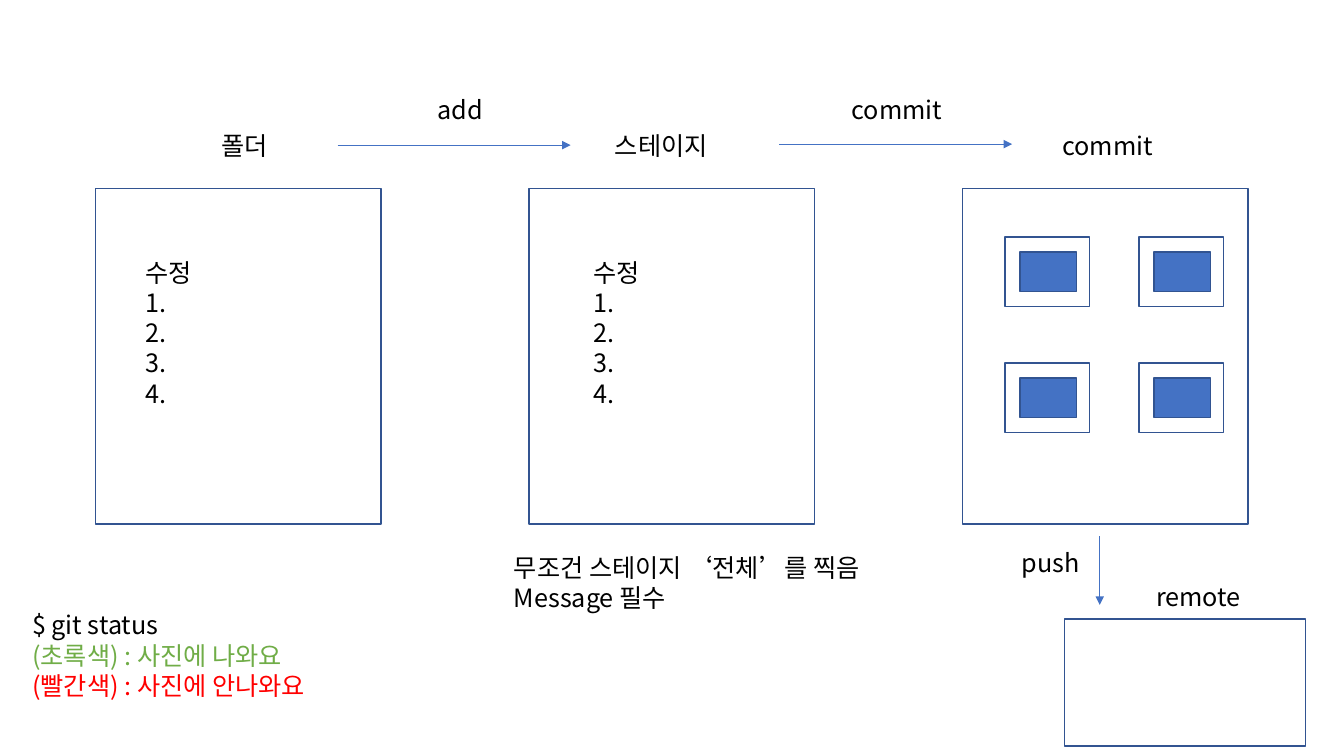
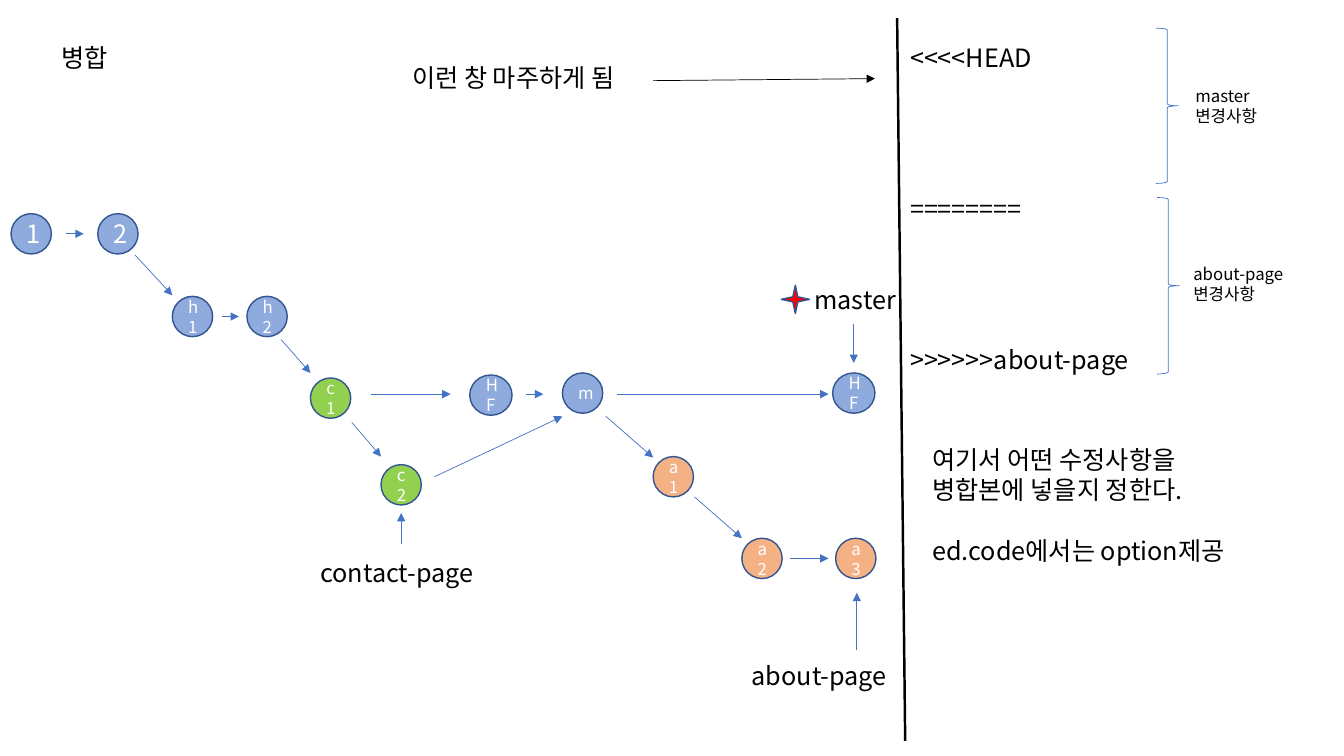
from itertools import product
from lxml.etree import SubElement as Sub
from pptx import Presentation
from pptx.dml.color import RGBColor as Color
from pptx.enum.shapes import MSO_CONNECTOR as Link, MSO_SHAPE as Form
from pptx.enum.text import MSO_ANCHOR as Anchor, MSO_AUTO_SIZE as Fit, PP_ALIGN as Align
from pptx.oxml.ns import qn
from pptx.util import Inches, Pt

HUES = {
    "black": "000000", "white": "FFFFFF", "edge": "325491", "blue": "4472C4",
    "pale": "8FAADC", "lime": "92D050", "peach": "F4B183", "green": "70AD47", "red": "FF0000",
}
FONT = "Noto Sans CJK KR"
WIDE, HIGH = 133.33, 75


def hue(name):
    return Color.from_string(HUES[name])


def grid(*steps):
    return [Inches(step / 10) for step in steps]


def style(item, form):
    for key, value in form.items():
        setattr(item, key, value)


class Deck:
    """Holds the shared style and the current slide, on a grid of tenths of an inch."""

    def __init__(self):
        self.show = Presentation()
        self.show.slide_width, self.show.slide_height = grid(WIDE, HIGH)
        self.slide = None

    def start(self, layout):
        self.slide = self.show.slides.add_slide(self.show.slide_layouts[layout])

    def trim(self):
        for holder in list(self.slide.placeholders):
            if not holder.text_frame.text:
                holder.element.getparent().remove(holder.element)

    def letter(self, frame, lines, size=18, tint="black", align=Align.LEFT, anchor=Anchor.TOP):
        style(frame, {"word_wrap": True, "auto_size": Fit.NONE, "vertical_anchor": anchor})
        height = size * 1.2
        for spot, line in enumerate(lines):
            words, shade, gap = line if isinstance(line, tuple) else (line, tint, 0)
            para = frame.add_paragraph() if spot else frame.paragraphs[0]
            style(para, {"alignment": align, "line_spacing": Pt(height),
                         "space_before": Pt(gap * height), "space_after": Pt(0)})
            props = para._p.get_or_add_pPr()
            for key in ("marL", "indent"):
                props.set(key, "0")
            Sub(props, qn("a:buNone"))
            run = para.add_run()
            run.text = words
            style(run.font, {"name": FONT, "size": Pt(size), "bold": False})
            run.font.color.rgb = hue(shade)
            Sub(run._r.get_or_add_rPr(), qn("a:ea"), typeface=FONT)

    def text(self, box, *lines, **form):
        self.letter(self.slide.shapes.add_textbox(*grid(*box)).text_frame, lines, **form)

    def hold(self, index, box, *lines):
        holder = self.slide.placeholders[index]
        style(holder, dict(zip(("left", "top", "width", "height"), grid(*box))))
        self.letter(holder.text_frame, lines)

    def shape(self, box, form=Form.RECTANGLE, fill=None, edge="edge", weight=1):
        shape = self.slide.shapes.add_shape(form, *grid(*box))
        shape.shadow.inherit = False
        if fill:
            shape.fill.solid()
            shape.fill.fore_color.rgb = hue(fill)
        else:
            shape.fill.background()
        shape.line.color.rgb = hue(edge)
        shape.line.width = Pt(weight)
        return shape

    def node(self, left, top, label, fill="pale", size=12, width=4):
        dot = self.shape((left, top, width, 4), Form.OVAL, fill)
        self.letter(dot.text_frame, [label], size, "white", Align.CENTER, Anchor.MIDDLE)

    def line(self, ends, tint="blue", weight=0.5, head=True):
        line = self.slide.shapes.add_connector(Link.STRAIGHT, *grid(*ends))
        line.line.color.rgb = hue(tint)
        line.line.width = Pt(weight)
        if head:
            Sub(line.line._get_or_add_ln(), qn("a:tailEnd"), type="triangle")
        Sub(line._element.spPr, qn("a:effectLst"))


def stages(deck):
    deck.start(4)
    for col in range(3):
        deck.shape((9.5 + 43 * col, 18.7, 28.3, 33.3))
    steps = ("수정", "1.", "2.", "3.", "4.")
    deck.hold(1, (21, 12.4, 11.6, 4), "폴더")
    deck.hold(2, (13.4, 25, 17.4, 16.2), *steps)
    deck.hold(3, (60, 12.4, 13.3, 4), "스테이지")
    deck.hold(4, (57.9, 25, 17.4, 16.2), *steps)
    deck.trim()
    labels = (
        (104.4, 12.4, "commit"), (42.4, 8.9, "add"), (83.5, 8.9, "commit"),
        (100.4, 53.8, "push"), (113.7, 57.2, "remote"),
    )
    for left, top, words in labels:
        deck.text((left, top, 14, 4), words)
    for ends in ((33.5, 14.4, 56.6, 14.4), (77.3, 14.3, 100.4, 14.3), (109.1, 53.2, 109.1, 60)):
        deck.line(ends)
    deck.text((50, 54.3, 37.2, 7.1), "무조건 스테이지 ‘전체’를 찍음", "Message 필수")
    deck.shape((105.6, 61.4, 23.9, 12.6))
    for row, col in product(range(2), repeat=2):
        left, top = 99.7 + 13.3 * col, 23.5 + 12.5 * row
        deck.shape((left, top, 8.4, 6.9))
        deck.shape((left + 1.5, top + 1.5, 5.6, 3.9), fill="blue")
    deck.text((2.2, 60, 45.9, 10.1), "$ git status",
              ("(초록색) : 사진에 나와요", "green", 0), ("(빨간색) : 사진에 안나와요", "red", 0))


def merge(deck):
    deck.start(5)
    deck.hold(0, (5.1, 3.7, 24.3, 4), "병합")
    nodes = (
        (1.1, 21.2, "1", "pale", 18), (9.7, 21.2, "2", "pale", 18),
        (17.1, 29.4, "h1"), (24.5, 29.4, "h2"),
        (30.8, 37.5, "c1", "lime"), (37.8, 46.1, "c2", "lime"),
        (46.6, 37.2, "HF", "pale", 12, 4.2), (55.8, 37, "m"), (82.6, 37, "HF", "pale", 12, 4.2),
        (64.8, 45.3, "a1", "peach"), (73.6, 53.4, "a2", "peach"), (82.9, 53.4, "a3", "peach"),
    )
    for node in nodes:
        deck.node(*node)
    arrows = (
        (6.5, 23.2, 8.3, 23.2), (13.4, 25.3, 17.1, 29.3), (22, 31.4, 23.7, 31.4),
        (27.9, 33.7, 30.8, 37), (34.9, 41.9, 37.8, 45.3), (36.8, 39.1, 44.7, 39.1),
        (52.2, 39.1, 53.9, 39.1), (61.2, 39.1, 82.2, 39.1), (43.1, 47.3, 55.8, 41.3),
        (60.1, 41.3, 64.8, 45.4), (68.9, 49.3, 73.6, 53.4), (78.4, 55.4, 82.2, 55.4),
        (84.7, 32.1, 84.7, 36), (39.8, 54, 39.8, 50.9), (85, 64.5, 85, 58.8),
    )
    for ends in arrows:
        deck.line(ends)
    deck.shape((77.5, 28.3, 2.8, 2.8), Form.STAR_4_POINT, "red")
    labels = (
        (79.8, 27.7, 14.6, "master"), (30.8, 54.8, 20.3, "contact-page"),
        (73.6, 65, 20.2, "about-page"), (39.9, 5.7, 27.7, "이런 창 마주하게 됨"),
    )
    for left, top, width, words in labels:
        deck.text((left, top, width, 4), words)
    deck.line((89, 1.8, 89.8, 73.5), "black", 1.75, False)
    deck.line((64.8, 8, 86.8, 7.8), "black")
    deck.text((89.3, 3.7, 26.5, 34.3), "<<<<HEAD",
              ("========", "black", 4), (">>>>>>about-page", "black", 4))
    sides = (
        ((114.7, 2.8, 2.2, 15.4), (117.6, 8, 12, 5), "master"),
        ((114.8, 19.6, 2.2, 17.5), (117.4, 25.7, 12, 5), "about-page"),
    )
    for brace, box, branch in sides:
        deck.shape(brace, Form.RIGHT_BRACE, edge="blue", weight=0.5)
        deck.text(box, branch, "변경사항", size=12)
    deck.text((91.5, 43.6, 37.8, 13.1), "여기서 어떤 수정사항을", "병합본에 넣을지 정한다.",
              ("ed.code에서는 option제공", "black", 1))


def main():
    deck = Deck()
    stages(deck)
    merge(deck)
    deck.show.save("out.pptx")


if __name__ == "__main__":
    main()
